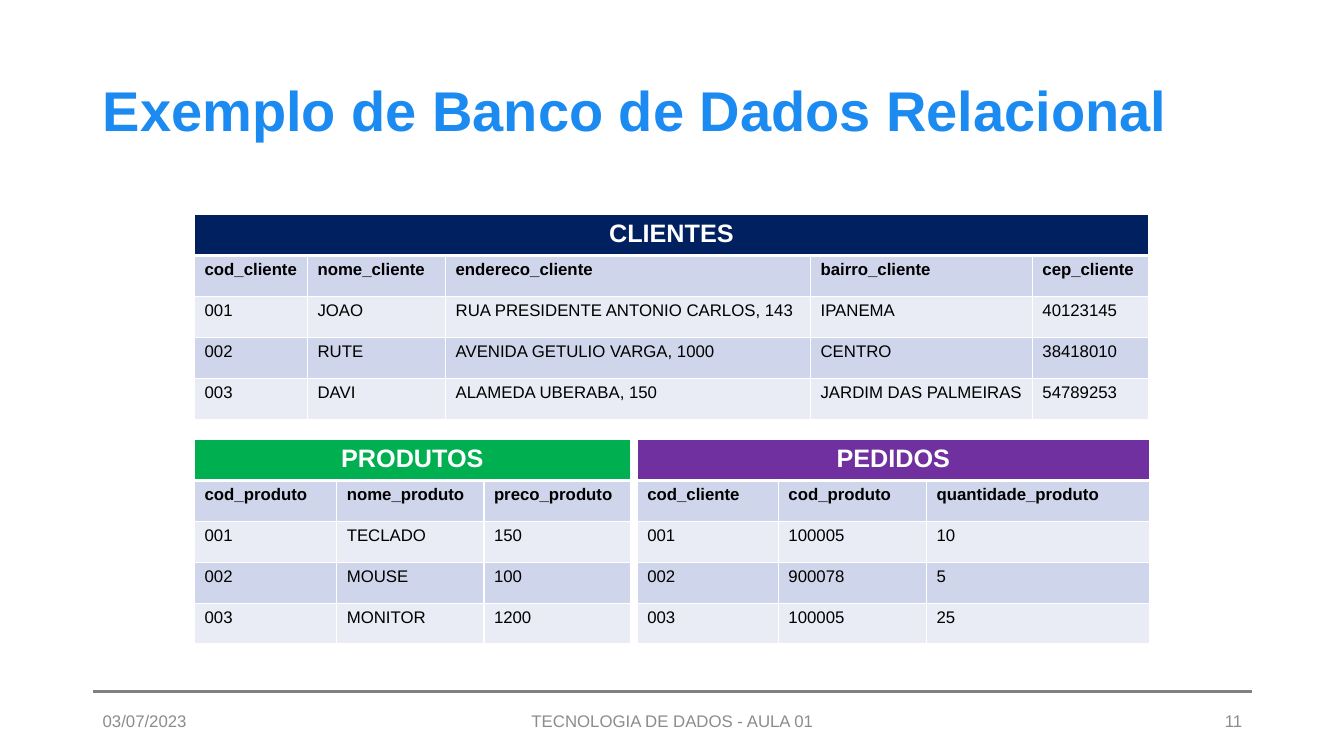
from dataclasses import dataclass

from lxml import etree
from pptx import Presentation
from pptx.dml.color import RGBColor
from pptx.enum.shapes import MSO_CONNECTOR
from pptx.enum.text import MSO_ANCHOR, PP_ALIGN
from pptx.oxml.ns import qn
from pptx.util import Inches, Pt

LEFT, CENTER, RIGHT = PP_ALIGN.LEFT, PP_ALIGN.CENTER, PP_ALIGN.RIGHT
MIDDLE = MSO_ANCHOR.MIDDLE
STRAIGHT = MSO_CONNECTOR.STRAIGHT


@dataclass(frozen=True)
class Theme:
    font: str = "Arial"
    title: str = "1C8BF1"
    footer: str = "8C8C8C"
    rule: str = "808080"
    white: str = "FFFFFF"
    black: str = "000000"
    bands: tuple = ("CFD5EA", "E9EBF5")
    customers: str = "002060"
    products: str = "00B050"
    orders: str = "7030A0"
    title_size: int = 40
    caption_size: int = 18
    body_size: int = 12


theme = Theme()


def write(box, text, size, color, bold=False, align=LEFT):
    para = box.paragraphs[0]
    para.alignment = align
    span = para.add_run()
    span.text = text
    span.font.name = theme.font
    span.font.size = Pt(size)
    span.font.bold = bold
    span.font.color.rgb = RGBColor.from_string(color)
    return para


def format_cell(cell, fill, bottom_width):
    # Borders come before the fill in the cell properties
    properties = cell._tc.get_or_add_tcPr()
    for side, width in (("L", 1), ("R", 1), ("T", 1), ("B", bottom_width)):
        border = etree.SubElement(properties, qn(f"a:ln{side}"), w=str(Pt(width)))
        solid = etree.SubElement(border, qn("a:solidFill"))
        etree.SubElement(solid, qn("a:srgbClr"), val=theme.white)
    cell.fill.solid()
    cell.fill.fore_color.rgb = RGBColor.from_string(fill)


deck = Presentation()
deck.slide_width, deck.slide_height = Inches(13.33), Inches(7.5)
page = deck.slides.add_slide(deck.slide_layouts[5])

# Title
title = page.shapes.title
title.left, title.top = Inches(0.92), Inches(0.4)
title.width, title.height = Inches(11.5), Inches(1.45)
title.text_frame.word_wrap = True
title.text_frame.vertical_anchor = MIDDLE
heading = write(title.text_frame, "Exemplo de Banco de Dados Relacional",
                theme.title_size, theme.title, bold=True)
heading.line_spacing = 0.9

# Footer rule
rule = page.shapes.add_connector(STRAIGHT, Inches(0.92), Inches(6.86),
                                 Inches(12.42), Inches(6.86))
rule.line.color.rgb = RGBColor.from_string(theme.rule)
rule.line.width = Pt(1.5)
etree.SubElement(rule._element.spPr, qn("a:effectLst"))

# Footer texts
footers = [
    (0.92, 3, "03/07/2023", LEFT),
    (4.42, 4.5, "TECNOLOGIA DE DADOS - AULA 01", CENTER),
    (9.42, 3, "11", RIGHT),
]
for left, width, text, align in footers:
    box = page.shapes.add_textbox(Inches(left), Inches(6.95), Inches(width), Inches(0.4))
    box.text_frame.word_wrap = True
    box.text_frame.vertical_anchor = MIDDLE
    write(box.text_frame, text, theme.body_size, theme.footer, align=align)

# Database tables: caption, colour, left, top, column widths, rows
tables = [
    ("CLIENTES", theme.customers, 1.93, 2.13, (1.12, 1.37, 3.62, 2.2, 1.15), [
        ("cod_cliente", "nome_cliente", "endereco_cliente", "bairro_cliente", "cep_cliente"),
        ("001", "JOAO", "RUA PRESIDENTE ANTONIO CARLOS, 143", "IPANEMA", "40123145"),
        ("002", "RUTE", "AVENIDA GETULIO VARGA, 1000", "CENTRO", "38418010"),
        ("003", "DAVI", "ALAMEDA UBERABA, 150", "JARDIM DAS PALMEIRAS", "54789253"),
    ]),
    ("PEDIDOS", theme.orders, 6.32, 4.36, (1.4, 1.47, 2.21), [
        ("cod_cliente", "cod_produto", "quantidade_produto"),
        ("001", "100005", "10"),
        ("002", "900078", "5"),
        ("003", "100005", "25"),
    ]),
    ("PRODUTOS", theme.products, 1.93, 4.36, (1.41, 1.46, 1.45), [
        ("cod_produto", "nome_produto", "preco_produto"),
        ("001", "TECLADO", "150"),
        ("002", "MOUSE", "100"),
        ("003", "MONITOR", "1200"),
    ]),
]
for caption, color, left, top, widths, rows in tables:
    table = page.shapes.add_table(len(rows) + 1, len(widths), Inches(left), Inches(top),
                                  Inches(sum(widths)), Inches(2.03)).table
    for column, width in zip(table.columns, widths):
        column.width = Inches(width)

    # Caption row
    for column in range(len(widths)):
        format_cell(table.cell(0, column), color, bottom_width=3)
    table.cell(0, 0).merge(table.cell(0, len(widths) - 1))
    write(table.cell(0, 0).text_frame, caption, theme.caption_size, theme.white,
          bold=True, align=CENTER)

    # Field names and records
    for index, values in enumerate(rows):
        for column, value in enumerate(values):
            cell = table.cell(index + 1, column)
            format_cell(cell, theme.bands[index % 2], bottom_width=1)
            write(cell.text_frame, value, theme.body_size, theme.black, bold=index == 0)

deck.save("out.pptx")
